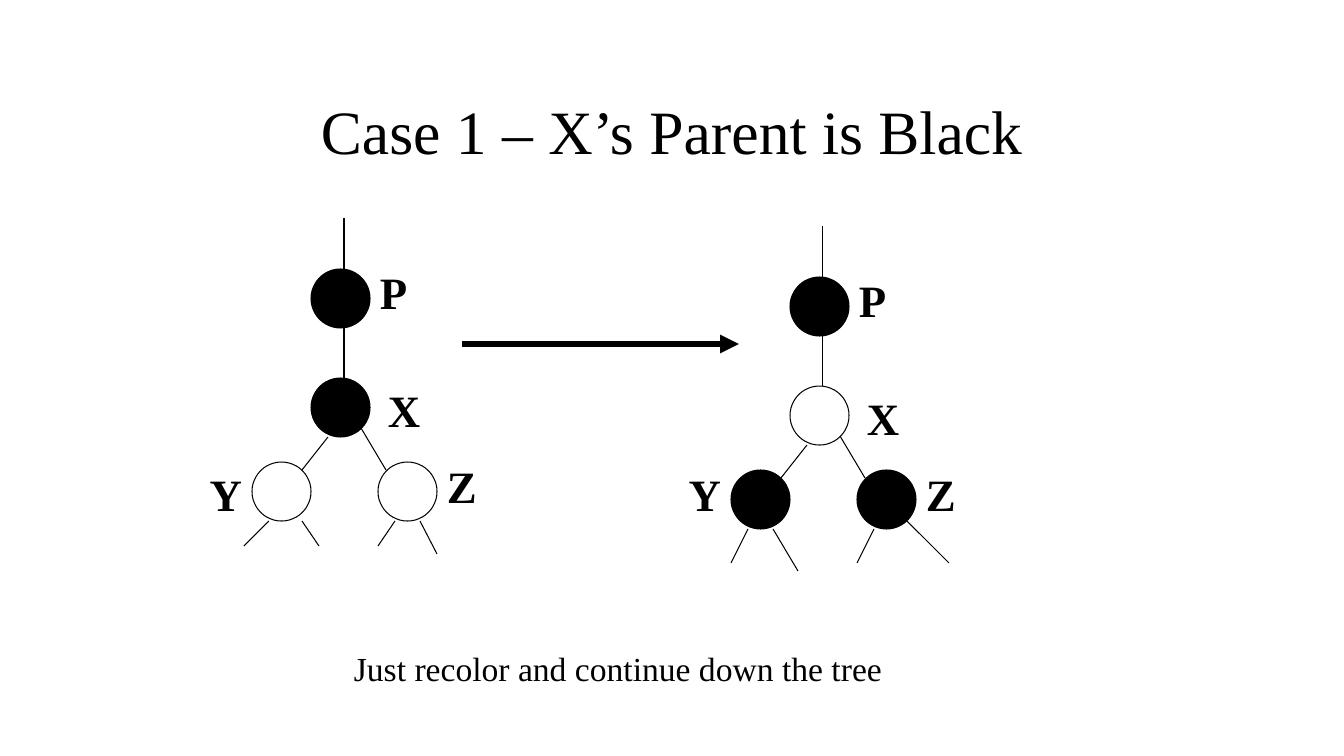
from lxml.etree import SubElement
from pptx import Presentation
from pptx.dml.color import RGBColor
from pptx.enum.shapes import MSO_CONNECTOR, MSO_SHAPE
from pptx.enum.text import MSO_ANCHOR, PP_ALIGN
from pptx.oxml.ns import qn
from pptx.util import Pt

SCALE = 914400 / 100.8
FONT, BLACK, WHITE = "Times New Roman", "000000", "FFFFFF"
DIAMETER = 59


def px(*lengths):
    return [round(n * SCALE) for n in lengths]


def color(value):
    return RGBColor.from_string(value)


def write(tf, text, size=32, bold=False, align=PP_ALIGN.LEFT, anchor=MSO_ANCHOR.TOP):
    tf.word_wrap = True
    tf.vertical_anchor = anchor
    p = tf.paragraphs[0]
    p.alignment = align
    r = p.add_run()
    r.text = text
    r.font.name, r.font.size, r.font.bold = FONT, Pt(size), bold
    r.font.color.rgb = color(BLACK)


class Canvas:
    """Holds the line style and the slide that elements are added to."""

    def __init__(self, s, ink=BLACK, weight=0.75):
        self.s, self.ink, self.weight = s, ink, weight

    def text(self, x, y, w, h, text, **style):
        sp = self.s.shapes.add_textbox(*px(x, y, w, h))
        write(sp.text_frame, text, **style)

    def node(self, x, y, fill):
        sp = self.s.shapes.add_shape(MSO_SHAPE.OVAL, *px(x, y, DIAMETER, DIAMETER))
        sp.shadow.inherit = False
        sp.fill.solid()
        sp.fill.fore_color.rgb = color(fill)
        sp.line.color.rgb = color(self.ink)
        sp.line.width = Pt(self.weight)

    def line(self, x1, y1, x2, y2, weight=None, arrow=False):
        sp = self.s.shapes.add_connector(MSO_CONNECTOR.STRAIGHT, *px(x1, y1, x2, y2))
        sp.line.color.rgb = color(self.ink)
        sp.line.width = Pt(weight or self.weight)
        if arrow:
            SubElement(sp.line._get_or_add_ln(), qn("a:tailEnd"), type="triangle")
        SubElement(sp._element.spPr, qn("a:effectLst"))

    def tree(self, dx, dy, fills, leaves):
        for x1, y1, x2, y2 in EDGES:
            self.line(x1 + dx, y1 + dy, x2 + dx, y2 + dy)
        for name, (x, y) in NODES.items():
            self.node(x + dx, y + dy, fills[name])
        for name, (x, y, w) in LABELS.items():
            self.text(x + dx, y + dy, w, 63, name, bold=True)
        self.text(168 + dx, 462, 84, 63, "Y", bold=True, align=PP_ALIGN.RIGHT)
        for leaf in leaves:
            self.line(*leaf)


NODES = {"P": (311, 269), "X": (311, 378), "Y": (252, 462), "Z": (378, 462)}
LABELS = {"P": (370, 260, 59), "X": (378, 378, 50), "Z": (437, 454, 59)}
EDGES = [(344, 269, 344, 218), (344, 378, 344, 328),
         (328, 437, 302, 470), (361, 428, 386, 470)]
BEFORE = {"P": BLACK, "X": BLACK, "Y": WHITE, "Z": WHITE}
AFTER = {"P": BLACK, "X": WHITE, "Y": BLACK, "Z": BLACK}
LEAVES_BEFORE = [(269, 521, 244, 546), (302, 521, 319, 546),
                 (395, 521, 378, 546), (420, 521, 437, 554)]
LEAVES_AFTER = [(748, 529, 731, 563), (773, 529, 798, 571),
                (874, 529, 857, 563), (907, 521, 949, 563)]

prs = Presentation()
prs.slide_width, prs.slide_height = px(1344, 756)
s = prs.slides.add_slide(prs.slide_layouts[6])
canvas = Canvas(s)

canvas.text(101, 67, 1142, 126, "Case 1 – X’s Parent is Black", size=44,
            align=PP_ALIGN.CENTER, anchor=MSO_ANCHOR.MIDDLE)
canvas.tree(0, 0, BEFORE, LEAVES_BEFORE)
canvas.line(462, 344, 739, 344, weight=4.5, arrow=True)
canvas.tree(479, 8, AFTER, LEAVES_AFTER)
canvas.text(344, 643, 739, 50, "Just recolor and continue down the tree", size=24)

prs.save("out.pptx")
